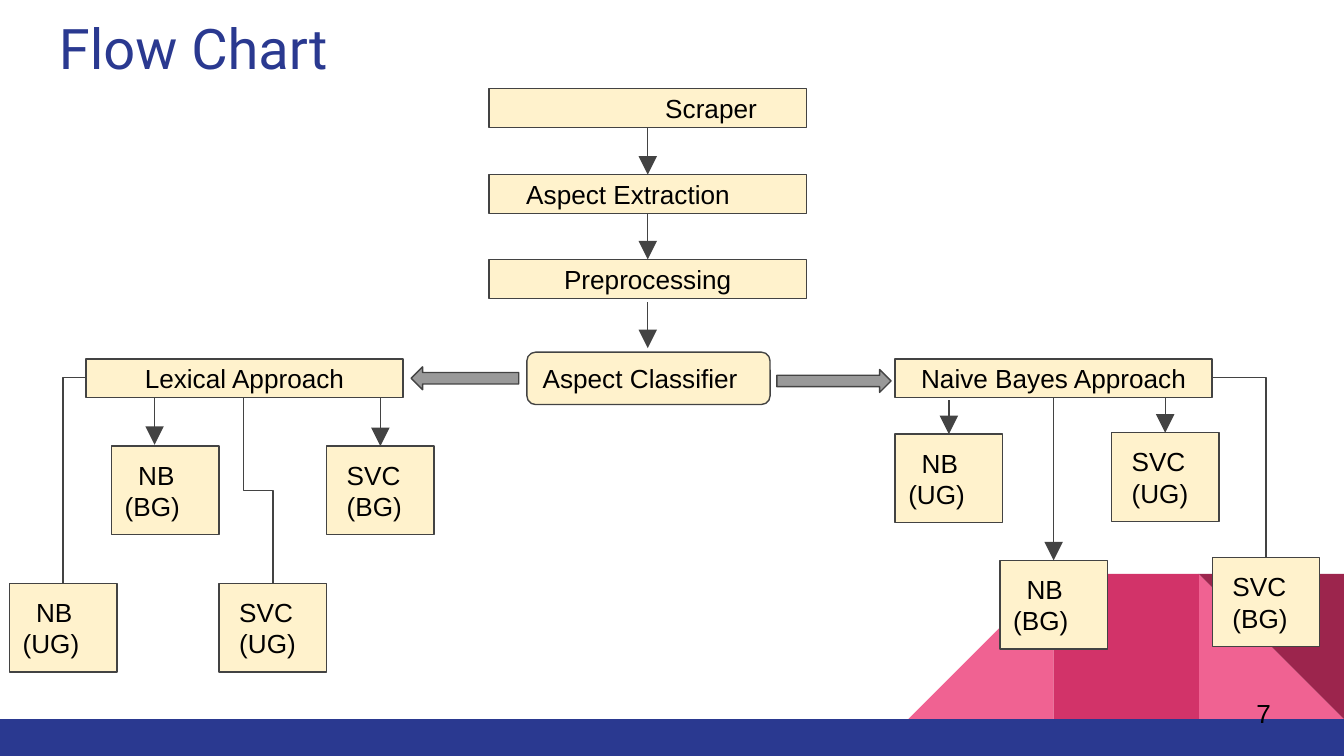
from lxml.etree import SubElement
from pptx import Presentation
from pptx.dml.color import RGBColor
from pptx.enum.shapes import MSO_CONNECTOR, MSO_SHAPE
from pptx.enum.text import MSO_ANCHOR, PP_ALIGN
from pptx.oxml.ns import qn
from pptx.util import Inches, Pt

NAVY = RGBColor(0x2A, 0x39, 0x90)
PINK = RGBColor(0xF0, 0x62, 0x92)
ROSE = RGBColor(0xD2, 0x33, 0x69)
WINE = RGBColor(0x9C, 0x25, 0x4D)
CREAM = RGBColor(0xFF, 0xF2, 0xCC)
GRAY = RGBColor(0x99, 0x99, 0x99)
DARK = RGBColor(0x43, 0x43, 0x43)
BLACK = RGBColor(0, 0, 0)

deck = Presentation()
deck.slide_width = Inches(10)
deck.slide_height = Inches(10 * 9 / 16)
page = deck.slides.add_slide(deck.slide_layouts[6])


def add_box(kind, left, top, width, height, fill, outlined=True):
    box = page.shapes.add_shape(kind, Inches(left), Inches(top), Inches(width), Inches(height))
    box.shadow.inherit = False
    box.fill.solid()
    box.fill.fore_color.rgb = fill
    if outlined:
        box.line.color.rgb = DARK
        box.line.width = Pt(0.75)
    else:
        box.line.fill.background()
    return box


def write(box, text, align=PP_ALIGN.LEFT, anchor=MSO_ANCHOR.MIDDLE, font="Arial", size=14, color=BLACK):
    frame = box.text_frame
    frame.text = text
    frame.word_wrap = True
    frame.vertical_anchor = anchor
    frame.margin_left = frame.margin_right = Inches(0.1)
    frame.margin_top = frame.margin_bottom = Inches(0.1)
    for paragraph in frame.paragraphs:
        paragraph.alignment = align
        for span in paragraph.runs:
            span.font.name, span.font.size = font, Pt(size)
            span.font.color.rgb = color


# Decoration along the bottom
TILE = 1.08
for kind, left, fill, turn in [
    (MSO_SHAPE.RIGHT_TRIANGLE, 8.92, PINK, 0),
    (MSO_SHAPE.RIGHT_TRIANGLE, 6.76, PINK, None),
    (MSO_SHAPE.RECTANGLE, 7.84, ROSE, 0),
    (MSO_SHAPE.RIGHT_TRIANGLE, 8.92, WINE, 180),
]:
    tile = add_box(kind, left, 4.27, TILE, TILE, fill, outlined=False)
    if turn is None:
        tile._element.spPr.find(qn("a:xfrm")).set("flipH", "1")
    else:
        tile.rotation = turn
add_box(MSO_SHAPE.RECTANGLE, 0, 5.35, 10, 0.28, NAVY, outlined=False)

title = page.shapes.add_textbox(Inches(0.34), Inches(0), Inches(9.32), Inches(0.66))
write(title, "Flow Chart", anchor=MSO_ANCHOR.TOP, font="Roboto", size=30, color=NAVY)

# Main steps
steps = {}
for name, left, top in [
    ("Scraper", 3.64, 0.66),
    ("Aspect Extraction", 3.64, 1.3),
    ("Preprocessing", 3.64, 1.93),
    ("Lexical Approach", 0.64, 2.67),
    ("Naive Bayes Approach", 6.66, 2.67),
]:
    steps[name] = add_box(MSO_SHAPE.RECTANGLE, left, top, 2.36, 0.29, CREAM)
    write(steps[name], name, PP_ALIGN.CENTER)
scraper_frame = steps["Scraper"].text_frame
scraper_frame.paragraphs[0].alignment = PP_ALIGN.LEFT
scraper_frame.margin_left = Inches(1.31)
steps["Aspect Extraction"].text_frame.margin_right = Inches(0.39)

classifier = add_box(MSO_SHAPE.ROUNDED_RECTANGLE, 3.92, 2.62, 1.81, 0.39, CREAM)
write(classifier, "Aspect Classifier")
add_box(MSO_SHAPE.RIGHT_ARROW, 5.78, 2.75, 0.85, 0.17, GRAY)
add_box(MSO_SHAPE.LEFT_ARROW, 3.06, 2.73, 0.8, 0.17, GRAY)

# Models under each approach
models = {}
for side, model, grams, left, top in [
    ("Lexical", "NB", "(UG)", 0.07, 4.34),
    ("Lexical", "NB", "(BG)", 0.83, 3.32),
    ("Lexical", "SVC", "(UG)", 1.63, 4.34),
    ("Lexical", "SVC", "(BG)", 2.43, 3.32),
    ("Bayes", "NB", "(UG)", 6.66, 3.23),
    ("Bayes", "NB", "(BG)", 7.44, 4.17),
    ("Bayes", "SVC", "(UG)", 8.27, 3.22),
    ("Bayes", "SVC", "(BG)", 9.02, 4.15),
]:
    box = add_box(MSO_SHAPE.RECTANGLE, left, top, 0.8, 0.66, CREAM)
    if model == "NB":
        write(box, f"{model} {grams}")
        box.text_frame.paragraphs[0]._p.get_or_add_pPr().set("indent", str(Inches(0.1)))
    else:
        write(box, f"{model}\n{grams}")
        box.text_frame.margin_left = Inches(0.15)
    models[side, model, grams] = box

# Straight arrows: x, top, bottom, box above, box below
connectors = []
for x, top, bottom, above, below in [
    (4.82, 0.95, 1.3, steps["Scraper"], steps["Aspect Extraction"]),
    (4.82, 1.59, 1.93, steps["Aspect Extraction"], steps["Preprocessing"]),
    (4.82, 2.25, 2.59, None, None),
    (1.15, 2.96, 3.31, None, None),
    (2.83, 2.96, 3.32, None, models["Lexical", "SVC", "(BG)"]),
    (7.06, 2.98, 3.23, None, models["Bayes", "NB", "(UG)"]),
    (8.67, 2.96, 3.22, None, models["Bayes", "SVC", "(UG)"]),
    (7.84, 2.96, 4.17, steps["Naive Bayes Approach"], models["Bayes", "NB", "(BG)"]),
]:
    arrow = page.shapes.add_connector(
        MSO_CONNECTOR.STRAIGHT, Inches(x), Inches(top), Inches(x), Inches(bottom))
    if above is not None:
        arrow.begin_connect(above, 2)
    if below is not None:
        arrow.end_connect(below, 0)
    connectors.append((arrow, True))

# Elbows: the two outer ones turn once, the middle one is a turned Z
for start_x, start_y, end_x, end_y, preset in [
    (0.64, 2.81, 0.47, 4.34, "bentConnector2"),
    (9.02, 2.81, 9.42, 4.15, "bentConnector2"),
    (2.61, 3.54, 1.23, 3.76, "bentConnector3"),
]:
    elbow = page.shapes.add_connector(
        MSO_CONNECTOR.ELBOW, Inches(start_x), Inches(start_y), Inches(end_x), Inches(end_y))
    properties = elbow._element.spPr
    properties.find(qn("a:prstGeom")).set("prst", preset)
    if preset == "bentConnector3":
        properties.find(qn("a:xfrm")).set("rot", str(270 * 60000))
    connectors.append((elbow, False))

for connector, has_head in connectors:
    connector.line.color.rgb = DARK
    connector.line.width = Pt(0.75)
    if has_head:
        head = SubElement(connector.line._get_or_add_ln(), qn("a:tailEnd"))
        head.set("type", "triangle")
        head.set("w", "lg")
        head.set("len", "lg")
    SubElement(connector._element.spPr, qn("a:effectLst"))

page_number = page.shapes.add_textbox(Inches(9.25), Inches(5.09), Inches(0.6), Inches(0.43))
write(page_number, "7")

deck.save("out.pptx")
